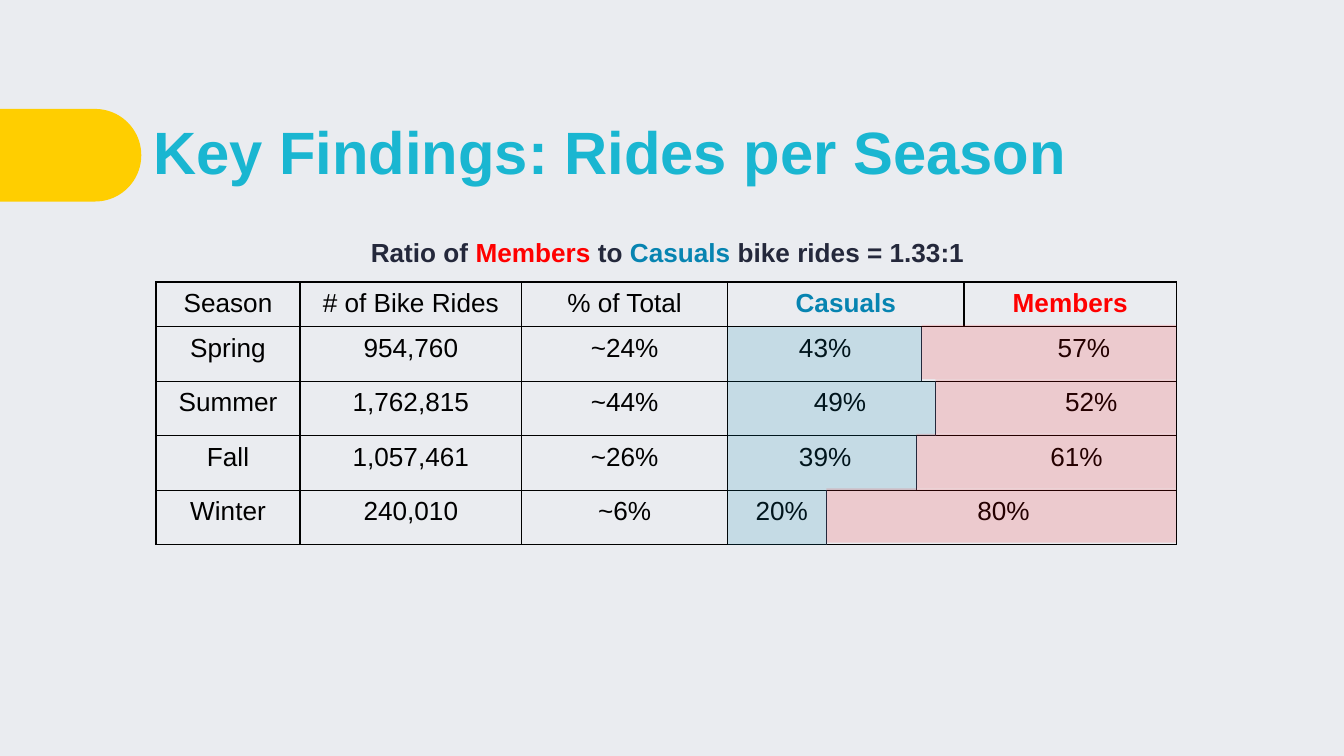
"""Build the slide on bike rides per season."""
import pptx
import pptx.dml.color
import pptx.enum.shapes
import pptx.enum.text
import pptx.oxml
import pptx.oxml.ns
import pptx.util
from pptx.util import Cm

RGBColor = pptx.dml.color.RGBColor
Shape = pptx.enum.shapes.MSO_SHAPE
Align = pptx.enum.text.PP_ALIGN
Anchor = pptx.enum.text.MSO_ANCHOR

BACKGROUND = RGBColor(0xEA, 0xEC, 0xF0)
YELLOW = RGBColor(0xFF, 0xCE, 0x00)
CYAN = RGBColor(0x1A, 0xB6, 0xD1)
NAVY = RGBColor(0x24, 0x28, 0x3B)
BLUE = RGBColor(0x07, 0x84, 0xB1)
RED = RGBColor(0xFF, 0x00, 0x00)
BLACK = RGBColor(0x00, 0x00, 0x00)

TABLE_LEFT, TABLE_TOP = 2.95, 5.33
COLUMN_WIDTHS = [2.72, 4.19, 3.89, 4.47, 4.01]
HEADER_HEIGHT, ROW_HEIGHT = 0.81, 1.03
BARS_LEFT = TABLE_LEFT + sum(COLUMN_WIDTHS[:3])
BARS_RIGHT = TABLE_LEFT + sum(COLUMN_WIDTHS)

HEADERS = [("Season", BLACK), ("# of Bike Rides", BLACK), ("% of Total", BLACK),
           ("Casuals", BLUE), ("Members", RED)]
SEASONS = [
    ("Spring", "954,760", "~24%", "43%", "57%"),
    ("Summer", "1,762,815", "~44%", "49%", "52%"),
    ("Fall", "1,057,461", "~26%", "39%", "61%"),
    ("Winter", "240,010", "~6%", "20%", "80%"),
]
SHARE_INDENTS = [(1.35, 1.77), (1.63, 1.91), (1.35, 1.63), (0.53, 0.25)]
SPLITS = [17.42, 17.68, 17.32, 15.62]


def set_values(target, values):
    for name, value in values.items():
        setattr(target, name, value)


def add_span(para, text, size, color, bold):
    span = para.add_run()
    span.text = text
    set_values(span.font, {"name": "Arial", "size": pptx.util.Pt(size), "bold": bold})
    span.font.color.rgb = color


def add_text(page, area, spans, size, frame_values, para_values):
    box = page.shapes.add_textbox(*map(Cm, area))
    set_values(box.text_frame, frame_values)
    para = box.text_frame.paragraphs[0]
    set_values(para, para_values)
    for text, color in spans:
        add_span(para, text, size, color, True)


def add_block(page, kind, area, color, opacity=100):
    block = page.shapes.add_shape(kind, *map(Cm, area))
    block.shadow.inherit = False
    block.fill.solid()
    block.fill.fore_color.rgb = color
    block.line.fill.background()
    if opacity < 100:
        tint = block.fill._xPr.find(".//" + pptx.oxml.ns.qn("a:srgbClr"))
        alpha = tint.makeelement(pptx.oxml.ns.qn("a:alpha"), {"val": str(opacity * 1000)})
        tint.append(alpha)
    return block


def add_divider(page, x, top, bottom):
    line = page.shapes.add_connector(pptx.enum.shapes.MSO_CONNECTOR.STRAIGHT,
                                     Cm(x), Cm(top), Cm(x), Cm(bottom))
    line.line.color.rgb = NAVY
    line.line.width = pptx.util.Pt(0.75)
    properties = line._element.spPr
    properties.append(properties.makeelement(pptx.oxml.ns.qn("a:effectLst"), {}))


def set_borders(cell, hidden):
    properties = cell._tc.get_or_add_tcPr()
    for index, side in enumerate("LRTB"):
        paint = ("<a:noFill/>" if side == hidden else
                 f'<a:solidFill><a:srgbClr val="{BLACK}"/></a:solidFill>')
        properties.insert(index, pptx.oxml.parse_xml(
            f'<a:ln{side} {pptx.oxml.ns.nsdecls("a")} w="9525">{paint}</a:ln{side}>'))


def fill_cell(cell, text, color=BLACK, indent=None, hidden=None):
    cell.fill.background()
    set_borders(cell, hidden)
    para = cell.text_frame.paragraphs[0]
    para.alignment = Align.CENTER if indent is None else Align.LEFT
    if indent is not None:
        cell.margin_left = Cm(indent)
    add_span(para, text, 14, color, color != BLACK)


def add_season_table(page):
    height = HEADER_HEIGHT + ROW_HEIGHT * len(SEASONS)
    table = page.shapes.add_table(len(SEASONS) + 1, len(HEADERS), Cm(TABLE_LEFT), Cm(TABLE_TOP),
                                  Cm(sum(COLUMN_WIDTHS)), Cm(height)).table
    set_values(table, {"first_row": False, "horz_banding": False})
    for column, width in zip(table.columns, COLUMN_WIDTHS):
        column.width = Cm(width)
    for index, row in enumerate(table.rows):
        row.height = Cm(ROW_HEIGHT if index else HEADER_HEIGHT)
    for index, (text, color) in enumerate(HEADERS):
        fill_cell(table.cell(0, index), text, color)
    for row, (season, shares) in enumerate(zip(SEASONS, SHARE_INDENTS), 1):
        indents = (None, None, None, *shares)
        borders = (None, None, None, "R", "L")
        for index, text in enumerate(season):
            fill_cell(table.cell(row, index), text, BLACK, indents[index], borders[index])


def add_share_bars(page):
    for index, split in enumerate(SPLITS):
        top = TABLE_TOP + HEADER_HEIGHT + index * ROW_HEIGHT
        add_block(page, Shape.RECTANGLE, (split, top, BARS_RIGHT - split, ROW_HEIGHT), RED, 14)
        add_block(page, Shape.RECTANGLE,
                  (BARS_LEFT, top + 0.04, split - BARS_LEFT, ROW_HEIGHT), BLUE, 16)
        add_divider(page, split, top + 0.04, top + 0.04 + ROW_HEIGHT)


def main():
    deck = pptx.Presentation()
    set_values(deck, {"slide_width": Cm(25.4), "slide_height": Cm(14.29)})
    page = deck.slides.add_slide(deck.slide_layouts[6])
    page.background.fill.solid()
    page.background.fill.fore_color.rgb = BACKGROUND

    tab = add_block(page, Shape.ROUND_2_SAME_RECTANGLE, (0.46, 1.6, 1.75, 2.67), YELLOW)
    tab.rotation = 90
    tab.adjustments[0] = 0.5
    add_text(page, (2.9, 2.06, 20.02, 1.75), [("Key Findings: Rides per Season", CYAN)], 32,
             {"word_wrap": True, "vertical_anchor": Anchor.MIDDLE, "margin_left": 0,
              "margin_right": 0, "margin_top": 0, "margin_bottom": 0}, {"line_spacing": 0.9})
    add_season_table(page)
    add_share_bars(page)
    add_text(page, (6.6, 4.34, 12.17, 0.86),
             [("Ratio of ", NAVY), ("Members ", RED), ("to ", NAVY), ("Casuals ", BLUE),
              ("bike rides = 1.33:1 ", NAVY)], 14,
             {"word_wrap": False, "auto_size": pptx.enum.text.MSO_AUTO_SIZE.SHAPE_TO_FIT_TEXT},
             {"alignment": Align.CENTER})
    deck.save("out.pptx")


main()
